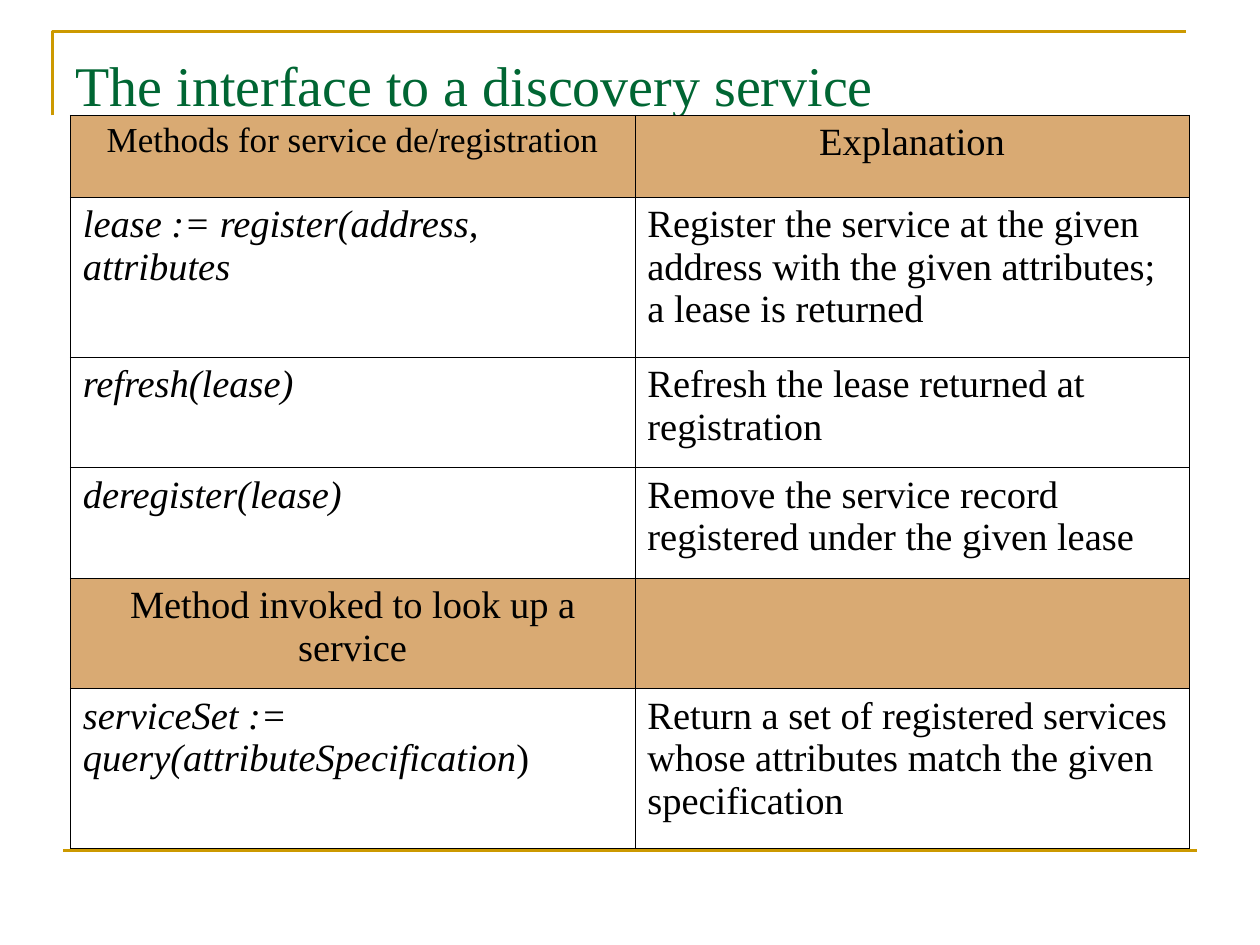
from dataclasses import dataclass
from lxml.etree import SubElement as Sub
from pptx import Presentation
from pptx.dml.color import RGBColor
from pptx.enum.shapes import MSO_CONNECTOR as Link
from pptx.enum.text import MSO_ANCHOR as Anchor, MSO_AUTO_SIZE as Fit, PP_ALIGN as Align
from pptx.oxml.ns import qn
from pptx.util import Pt

FONT = "Times New Roman"
GOLD, GREEN, TAN, BLACK = "CC9900", "006633", "D9AA73", "000000"
COLS = (322.6, 316.8)


@dataclass
class Row:
    call: str
    note: str
    high: float
    head: bool = False
    size: float = 22
    tail: str = ""


ROWS = [
    Row("Methods for service de/registration", "Explanation", 46.8, head=True, size=20),
    Row("lease := register(address, attributes",
        "Register the service at the given address with the given attributes; "
        "a lease is returned", 91.4),
    Row("refresh(lease)", "Refresh the lease returned at registration", 63.2),
    Row("deregister(lease)",
        "Remove the service record registered under the given lease", 63.2),
    Row("Method invoked to look up a service", "", 63.2, head=True),
    Row("serviceSet := query(attributeSpecification",
        "Return a set of registered services whose attributes match the given "
        "specification", 91.4, tail=")"),
]


def paint(code: str) -> RGBColor:
    return RGBColor.from_string(code)


def write(frame, text: str, size: float = 22, color: str = BLACK,
          italic: bool = False, align=Align.LEFT, gap: float = 0) -> None:
    par = frame.paragraphs[0]
    par.alignment = align
    par.space_before = Pt(gap)
    run = par.add_run()
    run.text = text
    font = run.font
    font.name, font.size, font.italic = FONT, Pt(size), italic
    font.color.rgb = paint(color)


def stroke(line) -> None:
    line.color.rgb = paint(GOLD)
    line.width = Pt(1.5)


def edge(cell) -> None:
    props = cell._tc.get_or_add_tcPr()
    for side in ("lnL", "lnR", "lnT", "lnB"):
        line = Sub(props, qn(f"a:{side}"), w=str(Pt(0.45)))
        fill = Sub(line, qn("a:solidFill"))
        Sub(fill, qn("a:srgbClr"), val=BLACK)


def fill_cell(cell, row: Row, text: str, size: float, italic: bool, tail: str) -> None:
    edge(cell)
    if row.head:
        cell.fill.solid()
        cell.fill.fore_color.rgb = paint(TAN)
    else:
        cell.fill.background()
    align = Align.CENTER if row.head else Align.LEFT
    for part, slant in ((text, italic), (tail, False)):
        if part:
            write(cell.text_frame, part, size=size, italic=slant,
                  align=align, gap=size / 4)


def draw_rules(shapes) -> None:
    path = shapes.build_freeform(Pt(30), Pt(66))
    path.add_line_segments([(Pt(30), Pt(18)), (Pt(678), Pt(18))], close=False)
    frame = path.convert_to_shape()
    frame.shadow.inherit = False
    frame.fill.background()
    stroke(frame.line)
    rule = shapes.add_connector(Link.STRAIGHT, Pt(36), Pt(486), Pt(684), Pt(486))
    stroke(rule.line)
    Sub(rule._element.spPr, qn("a:effectLst"))


def draw_title(title) -> None:
    title.left, title.top, title.width, title.height = Pt(36), Pt(21.6), Pt(648), Pt(38)
    frame = title.text_frame
    frame.auto_size = Fit.NONE
    frame.vertical_anchor = Anchor.TOP
    frame.margin_top = Pt(7.2)
    write(frame, "The interface to a discovery service", size=32, color=GREEN)


def draw_table(shapes) -> None:
    total = sum(row.high for row in ROWS)
    table = shapes.add_table(len(ROWS), len(COLS), Pt(40.2), Pt(65.8),
                             Pt(sum(COLS)), Pt(total)).table
    table.first_row = table.horz_banding = False
    for col, wide in zip(table.columns, COLS):
        col.width = Pt(wide)
    for line, row in zip(table.rows, ROWS):
        line.height = Pt(row.high)
        left, right = line.cells
        fill_cell(left, row, row.call, row.size, not row.head, row.tail)
        fill_cell(right, row, row.note, 22, False, "")


def main() -> None:
    deck = Presentation()
    deck.slide_width, deck.slide_height = Pt(720), Pt(540)
    slide = deck.slides.add_slide(deck.slide_layouts[5])
    draw_rules(slide.shapes)
    draw_title(slide.shapes.title)
    draw_table(slide.shapes)
    deck.save("out.pptx")


if __name__ == "__main__":
    main()
